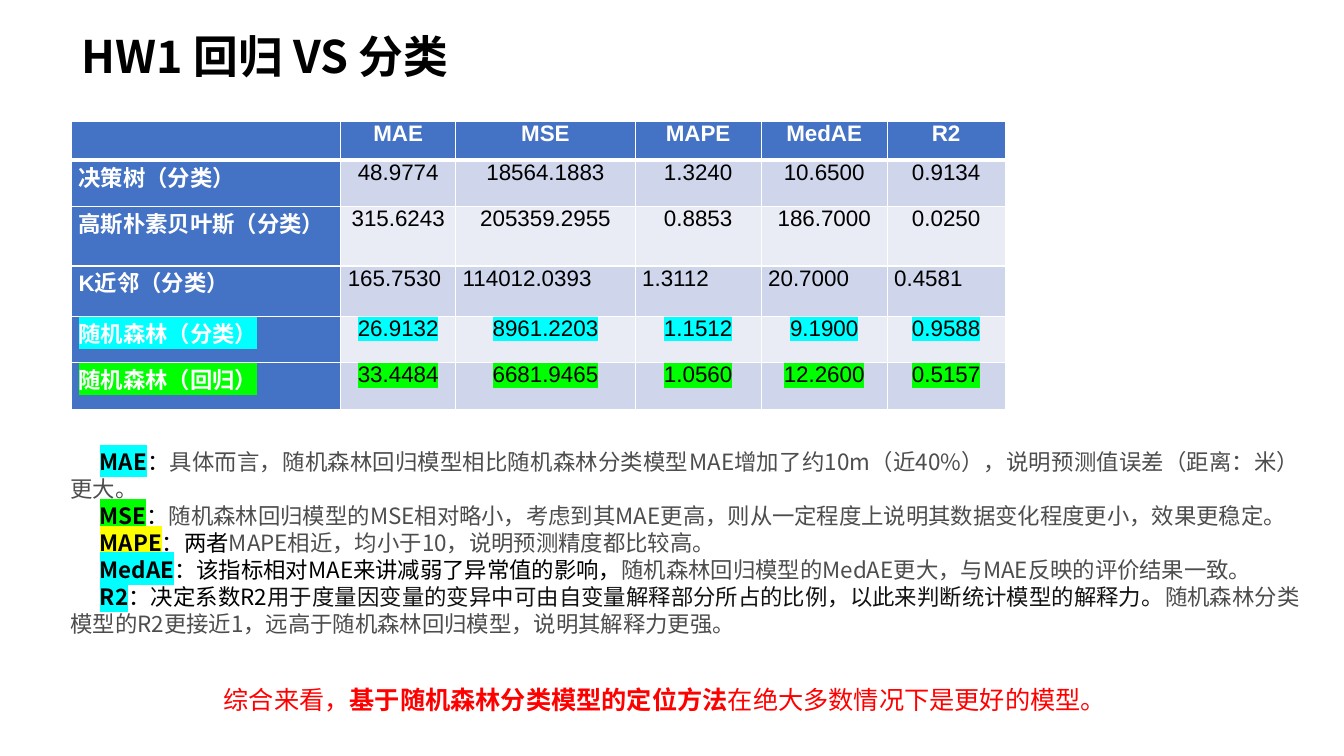
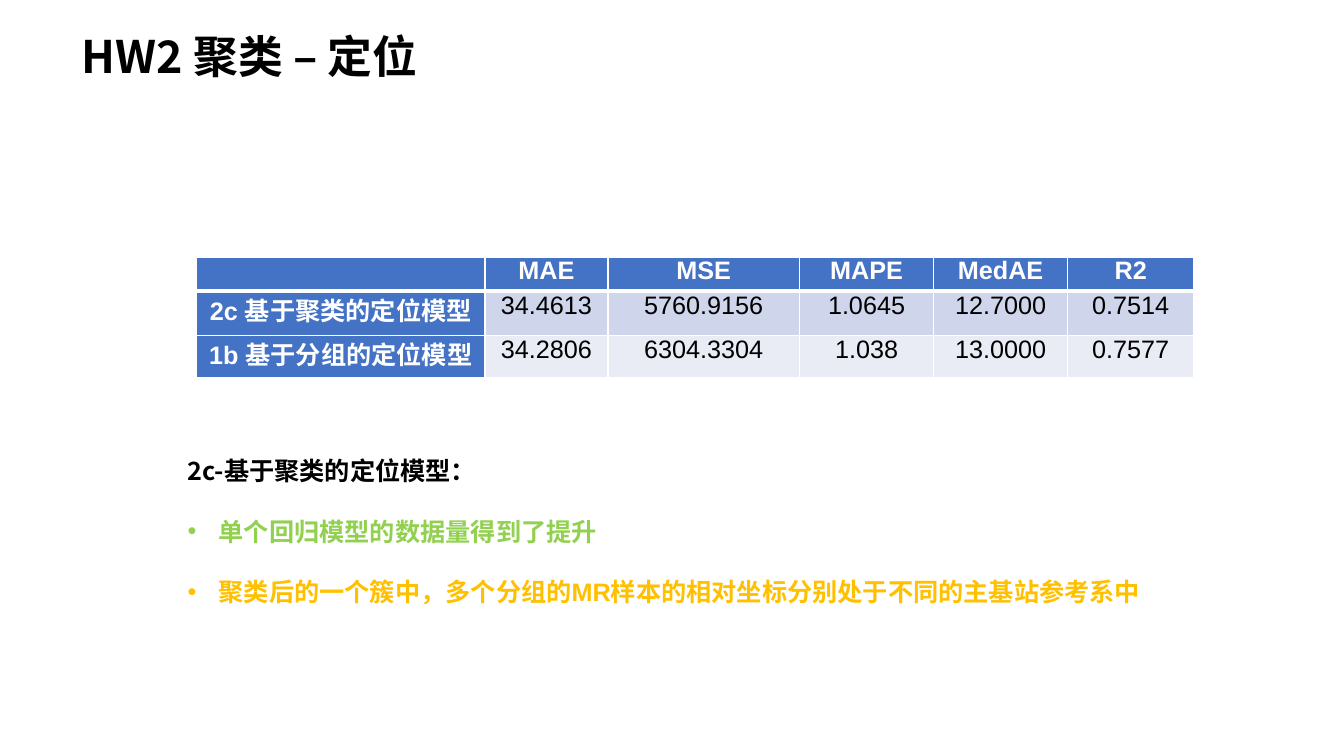
from lxml import etree
from pptx import Presentation
from pptx import util as u
from pptx.dml import color as dml
from pptx.enum import text
from pptx.oxml import ns

LATIN, CJK = "Arial", "Noto Sans CJK SC"
BLACK, WHITE, GREY, INK = "000000", "FFFFFF", "4D4D4D", "121212"
BLUE, BANDS = "4472C4", ("CFD5EA", "E9EBF5")
CYAN, LIME, YELLOW = "00FFFF", "00FF00", "FFFF00"
RED, GREEN, AMBER = "FF0000", "92D050", "FFC000"
LEFT, CENTER, JUSTIFY = text.PP_ALIGN.LEFT, text.PP_ALIGN.CENTER, text.PP_ALIGN.JUSTIFY
METRICS = ("MAE", "MSE", "MAPE", "MedAE", "R2")
TITLE_BOX = (0.71, 0.13, 6.18, 0.92)


def rgb(value):
    """Turn a hex string into a colour."""
    return dml.RGBColor.from_string(value)


def apply(target, values):
    """Set each attribute of the target from a dict."""
    for name, value in values.items():
        setattr(target, name, value)


def place(box):
    """Give a box in inches as slide lengths."""
    return [u.Inches(length) for length in box]


def add_colour(parent, tag, value):
    """Append a colour holder with a hex colour to an XML parent."""
    holder = etree.SubElement(parent, ns.qn(tag))
    etree.SubElement(holder, ns.qn("a:srgbClr"), val=value)
    return holder


def add_run(paragraph, words, size, colour=BLACK, bold=False, font=LATIN, mark=None):
    """Add one formatted run, with an optional highlight."""
    run = paragraph.add_run()
    run.text = words
    apply(run.font, {"size": u.Pt(size), "bold": bold, "name": font})
    run.font.color.rgb = rgb(colour)
    props = run.font._element
    east_asian = etree.SubElement(props, ns.qn("a:ea"), typeface=CJK)
    props.find(ns.qn("a:latin")).addnext(east_asian)
    if mark:
        props.find(ns.qn("a:solidFill")).addnext(add_colour(props, "a:highlight", mark))


def add_title(slide, words):
    """Fill the title placeholder."""
    title = slide.shapes.title
    apply(title, dict(zip(("left", "top", "width", "height"), place(TITLE_BOX))))
    apply(title.text_frame, {"vertical_anchor": text.MSO_ANCHOR.MIDDLE,
                             "auto_size": text.MSO_AUTO_SIZE.NONE})
    paragraph = title.text_frame.paragraphs[0]
    apply(paragraph, {"alignment": LEFT, "line_spacing": 0.9})
    add_run(paragraph, words, 32, bold=True, font=CJK)


def add_borders(cell, row):
    """Draw white cell borders, thick below the header row."""
    props = cell._tc.get_or_add_tcPr()
    thick = {(0, "a:lnB"), (1, "a:lnT")}
    for side in ("a:lnL", "a:lnR", "a:lnT", "a:lnB"):
        width = u.Pt(3 if (row, side) in thick else 1)
        line = etree.SubElement(props, ns.qn(side), w=str(width))
        add_colour(line, "a:solidFill", WHITE)


def add_scores(slide, box, widths, heights, models, size, label_align):
    """Add a score table; each model has a label, values, alignment and highlight."""
    rows = [("", METRICS, CENTER, None), *models]
    table = slide.shapes.add_table(len(rows), len(widths), *place(box)).table
    table.first_col = True
    for column, width in zip(table.columns, widths):
        column.width = u.Inches(width)
    for r, (label, values, align, mark) in enumerate(rows):
        table.rows[r].height = u.Inches(heights[r])
        for c, words in enumerate((label, *values)):
            cell = table.cell(r, c)
            heading = r == 0 or c == 0
            apply(cell, {"margin_left": u.Inches(0.07), "margin_right": u.Inches(0.07),
                         "margin_top": 0, "margin_bottom": 0})
            add_borders(cell, r)
            cell.fill.solid()
            cell.fill.fore_color.rgb = rgb(BLUE if heading else BANDS[(r - 1) % 2])
            paragraph = cell.text_frame.paragraphs[0]
            paragraph.alignment = align if c else label_align
            if words:
                add_run(paragraph, words, size, WHITE if heading else BLACK, heading, mark=mark)


def add_list(slide, box, items, size, align, gap=0):
    """Fill the body placeholder; each item has its bullet, left margin, indent and runs."""
    body = slide.placeholders[1]
    apply(body, dict(zip(("left", "top", "width", "height"), place(box))))
    frame = body.text_frame
    apply(frame, {"word_wrap": True, "auto_size": text.MSO_AUTO_SIZE.NONE,
                  "vertical_anchor": text.MSO_ANCHOR.TOP, "margin_top": u.Inches(0.08)})
    for i, (bullet, margin, indent, runs) in enumerate(items):
        paragraph = frame.add_paragraph() if i else frame.paragraphs[0]
        apply(paragraph, {"alignment": align, "line_spacing": u.Pt(1.2 * size),
                          "space_before": u.Pt(gap if i else 0), "space_after": u.Pt(0)})
        props = paragraph._p.get_or_add_pPr()
        props.set("marL", str(u.Inches(margin)))
        props.set("indent", str(u.Inches(indent)))
        if bullet:
            etree.SubElement(props, ns.qn("a:buFont"), typeface=LATIN)
            etree.SubElement(props, ns.qn("a:buChar"), char=bullet)
        else:
            etree.SubElement(props, ns.qn("a:buNone"))
        for words, style in runs:
            add_run(paragraph, words, size, **style)


def add_conclusion(slide, box, runs):
    """Add the red closing sentence from pairs of words and boldness."""
    frame = slide.shapes.add_textbox(*place(box)).text_frame
    frame.word_wrap = True
    for words, bold in runs:
        add_run(frame.paragraphs[0], words, 18, RED, bold)


def metric_note(metric, mark, *parts):
    """Make a list item with a highlighted metric and coloured sentences."""
    runs = [(metric, {"bold": True, "font": CJK, "mark": mark})]
    runs += [(words, {"colour": colour, "font": CJK}) for words, colour in parts]
    return None, 0.29, 0.29, runs


def build_regression(slide):
    """Build the comparison of regression and classification."""
    add_title(slide, "HW1 回归 VS 分类")
    models = [
        ("决策树（分类）", ("48.9774", "18564.1883", "1.3240", "10.6500", "0.9134"), CENTER, None),
        ("高斯朴素贝叶斯（分类）", ("315.6243", "205359.2955", "0.8853", "186.7000", "0.0250"), CENTER, None),
        ("K近邻（分类）", ("165.7530", "114012.0393", "1.3112", "20.7000", "0.4581"), LEFT, None),
        ("随机森林（分类）", ("26.9132", "8961.2203", "1.1512", "9.1900", "0.9588"), CENTER, CYAN),
        ("随机森林（回归）", ("33.4484", "6681.9465", "1.0560", "12.2600", "0.5157"), CENTER, LIME),
    ]
    add_scores(slide, (0.71, 1.2, 9.25, 2.85), (2.67, 1.14, 1.78, 1.25, 1.25, 1.17),
               (0.39, 0.46, 0.59, 0.5, 0.46, 0.46), models, 16, JUSTIFY)
    notes = [
        metric_note("MAE", CYAN, ("：", BLACK),
                    ("具体而言，随机森林回归模型相比随机森林分类模型MAE增加了约10m（近40%），"
                     "说明预测值误差（距离：米）更大。", GREY)),
        metric_note("MSE", LIME, ("：", BLACK),
                    ("随机森林回归模型的MSE相对略小，考虑到其MAE更高，"
                     "则从一定程度上说明其数据变化程度更小，效果更稳定。", GREY)),
        metric_note("MAPE", YELLOW, ("：两者", BLACK),
                    ("MAPE相近，均小于10，说明预测精度都比较高。", GREY)),
        metric_note("MedAE", CYAN, ("：该指标相对MAE来讲减弱了异常值的影响，", BLACK),
                    ("随机森林回归模型的MedAE更大，与MAE反映的评价结果一致。", GREY)),
        metric_note("R2", CYAN, ("：决定系数R2", BLACK),
                    ("用于度量因变量的变异中可由自变量解释部分所占的比例，"
                     "以此来判断统计模型的解释力。", INK),
                    ("随机森林分类模型的R2更接近1，远高于随机森林回归模型，说明其解释力更强。", GREY)),
    ]
    add_list(slide, (0.31, 4.37, 12.68, 2.05), notes, 16, JUSTIFY)
    add_conclusion(slide, (2.12, 6.74, 9.09, 0.4),
                   [("综合来看，", False), ("基于随机森林分类模型的定位方法", True),
                    ("在绝大多数情况下是更好的模型。", False)])


def build_clustering(slide):
    """Build the comparison of clustered and grouped positioning."""
    add_title(slide, "HW2 聚类 – 定位")
    models = [
        ("2c 基于聚类的定位模型", ("34.4613", "5760.9156", "1.0645", "12.7000", "0.7514"), CENTER, None),
        ("1b 基于分组的定位模型", ("34.2806", "6304.3304", "1.038", "13.0000", "0.7577"), CENTER, None),
    ]
    add_scores(slide, (1.95, 2.55, 9.9, 1.2), (2.86, 1.22, 1.9, 1.33, 1.33, 1.25),
               (0.34, 0.44, 0.42), models, 18, CENTER)
    findings = [
        (None, 0, 0, [("2c-", {"bold": True, "font": CJK}),
                      ("基于聚类的定位模型：", {"bold": True})]),
        ("•", 0.31, -0.31, [("单个回归模型的数据量得到了提升", {"colour": GREEN, "bold": True})]),
        ("•", 0.31, -0.31, [("聚类后的一个簇中，多个分组的MR样本的相对坐标分别处于不同的主基站参考系中",
                             {"colour": AMBER, "bold": True})]),
    ]
    add_list(slide, (1.76, 4.44, 10, 1.62), findings, 18, LEFT, gap=21.6)


def main():
    """Build and save the presentation."""
    deck = Presentation()
    apply(deck, {"slide_width": u.Inches(13.33), "slide_height": u.Inches(7.5)})
    for build in (build_regression, build_clustering):
        build(deck.slides.add_slide(deck.slide_layouts[1]))
    deck.save("out.pptx")


if __name__ == "__main__":
    main()
